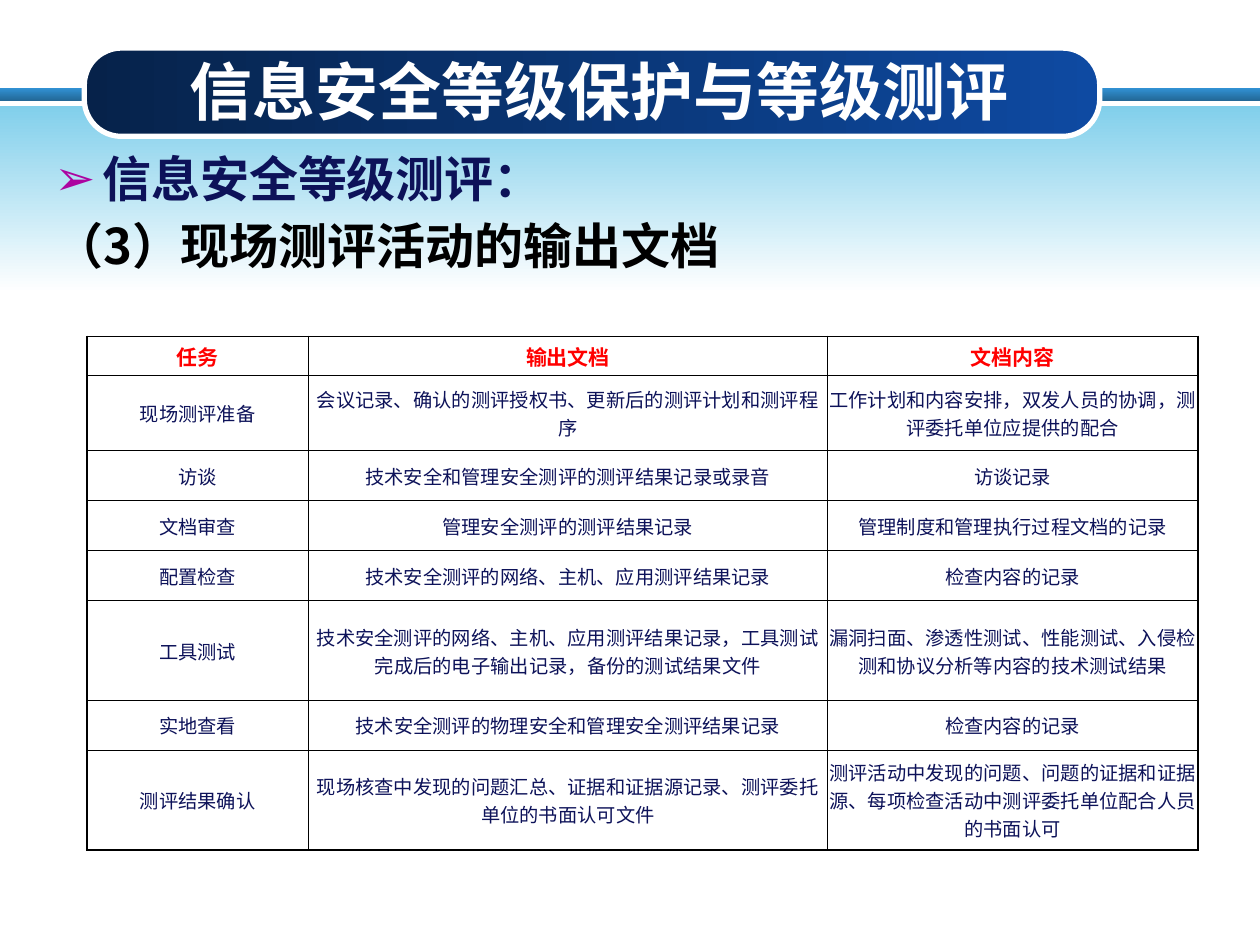
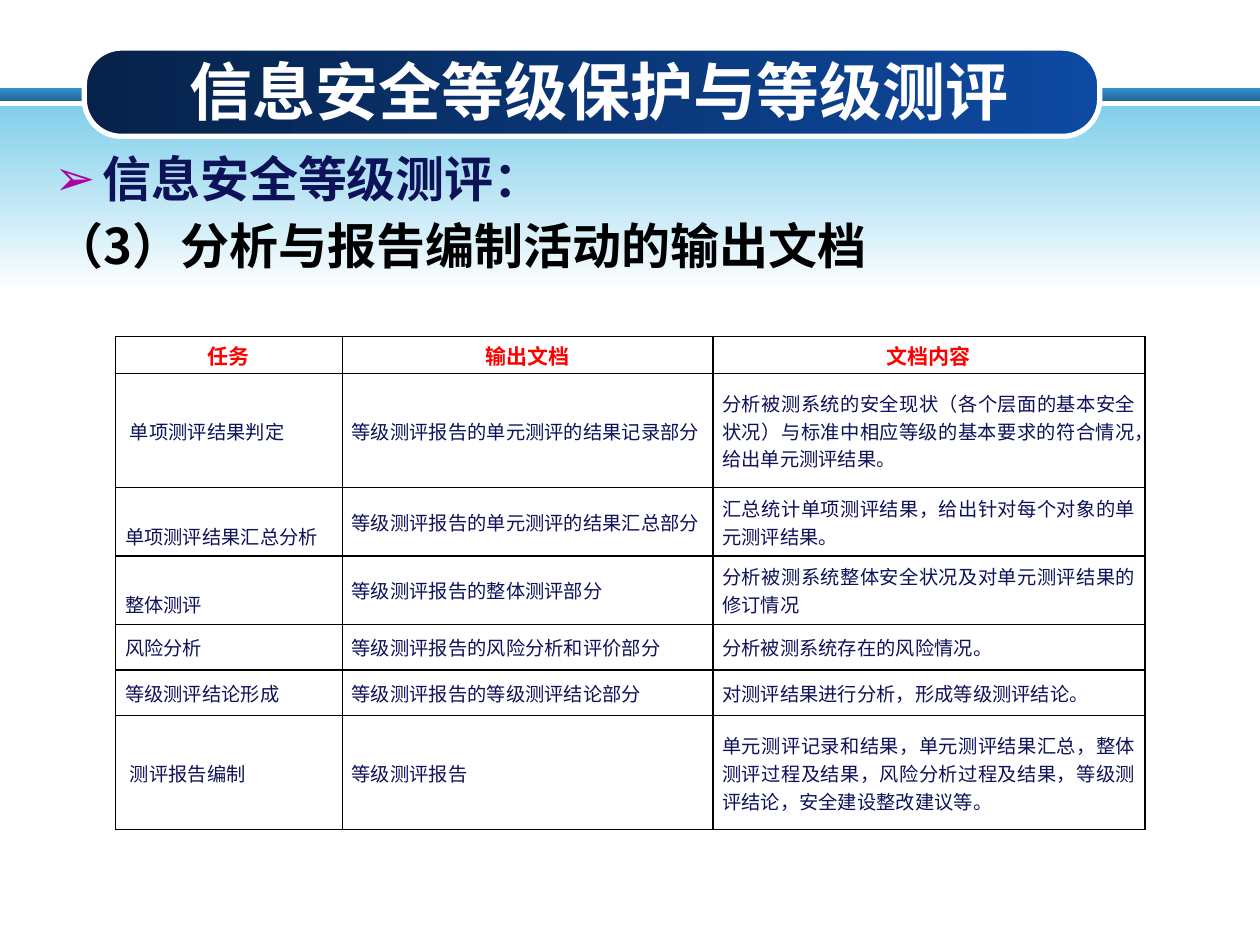
from lxml.etree import SubElement
from pptx import Presentation
from pptx.dml.color import RGBColor
from pptx.enum.shapes import MSO_SHAPE
from pptx.enum.text import MSO_ANCHOR, MSO_AUTO_SIZE, PP_ALIGN
from pptx.oxml import parse_xml
from pptx.oxml.ns import nsdecls, qn
from pptx.util import Cm, Pt

WHITE = RGBColor(0xFF, 0xFF, 0xFF)
BLACK = RGBColor(0x00, 0x00, 0x00)
RED = RGBColor(0xFF, 0x00, 0x00)
NAVY = RGBColor(0x0D, 0x12, 0x59)
PURPLE = RGBColor(0xAC, 0x04, 0xA0)
BAR_TOP = RGBColor(0x31, 0x91, 0xD3)
BAR_BOTTOM = RGBColor(0x23, 0x68, 0x97)
SKY = RGBColor(0x81, 0xCF, 0xEB)
PILL_LEFT = RGBColor(0x06, 0x22, 0x4A)
PILL_RIGHT = RGBColor(0x0E, 0x4A, 0xA2)

CJK_FONT = "Noto Sans CJK SC"
TITLE_FORMAT = {"name": "Arial", "size": Pt(36), "bold": True}
BODY_FORMAT = {"name": CJK_FONT, "size": Pt(28), "bold": True}
HEADER_FORMAT = {"name": "Times New Roman", "size": Pt(12), "bold": True}
CELL_FORMAT = {"name": "Times New Roman", "size": Pt(11), "bold": False}

# Background decoration: shape, left, top, width, height (cm), colours, angle
BANDS = [
    (MSO_SHAPE.RECTANGLE, 0, 1.78, 25.4, 0.25, (BAR_TOP, BAR_BOTTOM), 270),
    (MSO_SHAPE.RECTANGLE, 0, 2.13, 25.4, 3.78, (SKY, WHITE), 270),
    (MSO_SHAPE.ROUNDED_RECTANGLE, 1.7, 0.97, 20.47, 1.78, (PILL_LEFT, PILL_RIGHT), 0),
]

TITLE = "信息安全等级保护与等级测评"
HEADING = "信息安全等级测评："
TABLE_HEADER = ("任务", "输出文档", "文档内容")

SLIDES = [
    {
        "subheading": "（3）现场测评活动的输出文档",
        "left": 1.75,
        "columns": (4.47, 10.46, 7.47),
        "heights": (0.79, 1.51, 1.01, 1.01, 1.01, 2.01, 1.01, 2.01),
        "side_margin": 0,
        "alignment": PP_ALIGN.CENTER,
        "rows": [
            ("现场测评准备", "会议记录、确认的测评授权书、更新后的测评计划和测评程序",
             "工作计划和内容安排，双发人员的协调，测评委托单位应提供的配合"),
            ("访谈", "技术安全和管理安全测评的测评结果记录或录音", "访谈记录"),
            ("文档审查", "管理安全测评的测评结果记录", "管理制度和管理执行过程文档的记录"),
            ("配置检查", "技术安全测评的网络、主机、应用测评结果记录", "检查内容的记录"),
            ("工具测试",
             "技术安全测评的网络、主机、应用测评结果记录，工具测试完成后的电子输出记录，备份的测试结果文件",
             "漏洞扫面、渗透性测试、性能测试、入侵检测和协议分析等内容的技术测试结果"),
            ("实地查看", "技术安全测评的物理安全和管理安全测评结果记录", "检查内容的记录"),
            ("测评结果确认",
             "现场核查中发现的问题汇总、证据和证据源记录、测评委托单位的书面认可文件",
             "测评活动中发现的问题、问题的证据和证据源、每项检查活动中测评委托单位配合人员的书面认可"),
        ],
        "lowered": (),
        "indented": (),
    },
    {
        "subheading": "（3）分析与报告编制活动的输出文档",
        "left": 2.33,
        "columns": (4.57, 7.47, 8.71),
        "heights": (0.75, 2.3, 1.38, 1.38, 0.92, 0.92, 2.3),
        "side_margin": 0.19,
        "alignment": PP_ALIGN.JUSTIFY,
        "rows": [
            ("单项测评结果判定", "等级测评报告的单元测评的结果记录部分",
             "分析被测系统的安全现状（各个层面的基本安全状况）与标准中相应等级的基本要求的符合情况，给出单元测评结果。"),
            ("单项测评结果汇总分析", "等级测评报告的单元测评的结果汇总部分",
             "汇总统计单项测评结果，给出针对每个对象的单元测评结果。"),
            ("整体测评", "等级测评报告的整体测评部分",
             "分析被测系统整体安全状况及对单元测评结果的修订情况"),
            ("风险分析", "等级测评报告的风险分析和评价部分", "分析被测系统存在的风险情况。"),
            ("等级测评结论形成", "等级测评报告的等级测评结论部分",
             "对测评结果进行分析，形成等级测评结论。"),
            ("测评报告编制", "等级测评报告",
             "单元测评记录和结果，单元测评结果汇总，整体测评过程及结果，风险分析过程及结果，等级测评结论，安全建设整改建议等。"),
        ],
        "lowered": ("单项测评结果汇总分析", "整体测评"),
        "indented": ("单项测评结果判定", "测评报告编制"),
    },
]


def write(paragraph, text, font_format, color, alignment):
    paragraph.alignment = alignment
    run = paragraph.add_run()
    run.text = text
    for name, value in font_format.items():
        setattr(run.font, name, value)
    run.font.color.rgb = color
    SubElement(run.font._element, qn("a:ea"), typeface=CJK_FONT)


def place(shape, left, top, width, height, anchor):
    """Move a placeholder (cm) and fix its text frame."""
    shape.left, shape.top, shape.width, shape.height = map(Cm, (left, top, width, height))
    frame = shape.text_frame
    frame.word_wrap = True
    frame.auto_size = MSO_AUTO_SIZE.NONE
    frame.vertical_anchor = anchor
    return frame


presentation = Presentation()
presentation.slide_width, presentation.slide_height = Cm(25.4), Cm(19.05)
layout = presentation.slide_layouts[1]
slides = [presentation.slides.add_slide(layout) for _ in SLIDES]

# The decoration is drawn once and moved to the master, behind everything.
master_tree = presentation.slide_master.shapes.element
for index, (kind, *box, colors, angle) in enumerate(BANDS):
    band = slides[0].shapes.add_shape(kind, *map(Cm, box))
    band.shadow.inherit = False
    band.fill.gradient()
    band.fill.gradient_angle = angle
    for stop, color in zip(band.fill.gradient_stops, colors):
        stop.color.rgb = color
    if kind == MSO_SHAPE.ROUNDED_RECTANGLE:
        band.adjustments[0] = 0.42
        band.line.color.rgb = WHITE
        band.line.width = Pt(3)
    else:
        band.line.fill.background()
    band.element.nvSpPr.cNvPr.set("id", str(100 + index))
    master_tree.insert(2 + index, band.element)

for slide, content in zip(slides, SLIDES):
    title_frame = place(slide.shapes.title, 2.34, 1.04, 19.48, 1.57, MSO_ANCHOR.MIDDLE)
    write(title_frame.paragraphs[0], TITLE, TITLE_FORMAT, WHITE, PP_ALIGN.CENTER)

    body_frame = place(slide.placeholders[1], 0.84, 2.87, 22.86, 3.4, MSO_ANCHOR.TOP)
    heading = body_frame.paragraphs[0]
    heading_properties = heading._p.get_or_add_pPr()
    heading_properties.set("marL", str(Cm(0.97)))
    heading_properties.set("indent", str(Cm(-0.97)))
    bullet_color = SubElement(heading_properties, qn("a:buClr"))
    SubElement(bullet_color, qn("a:srgbClr"), val=str(PURPLE))
    SubElement(heading_properties, qn("a:buChar"), char="➢")
    heading.space_before = Pt(0)
    write(heading, HEADING, BODY_FORMAT, NAVY, PP_ALIGN.LEFT)

    subheading = body_frame.add_paragraph()
    subheading.level = 1
    subheading_properties = subheading._p.get_or_add_pPr()
    subheading_properties.set("marL", "0")
    subheading_properties.set("indent", "0")
    SubElement(subheading_properties, qn("a:buNone"))
    subheading.space_before = Pt(4.6)
    write(subheading, content["subheading"], BODY_FORMAT, BLACK, PP_ALIGN.LEFT)

    rows = [TABLE_HEADER, *content["rows"]]
    columns, heights = content["columns"], content["heights"]
    table = slide.shapes.add_table(
        len(rows), len(columns), Cm(content["left"]), Cm(6.78),
        Cm(sum(columns)), Cm(sum(heights))).table
    table.first_row = table.horz_banding = False
    for column, width in zip(table.columns, columns):
        column.width = Cm(width)
    for row_index, texts in enumerate(rows):
        table.rows[row_index].height = Cm(heights[row_index])
        for cell, text in zip(table.rows[row_index].cells, texts):
            cell.vertical_anchor = MSO_ANCHOR.MIDDLE
            cell.margin_left = cell.margin_right = Cm(content["side_margin"])
            cell.margin_top = cell.margin_bottom = 0
            if text in content["lowered"]:
                cell.margin_top = Cm(0.56)
            if text in content["indented"]:
                cell.margin_left = Cm(content["side_margin"] + 0.1)
            cell_properties = cell._tc.get_or_add_tcPr()
            for side in "LRTB":
                cell_properties.append(parse_xml(
                    f'<a:ln{side} {nsdecls("a")} w="{Pt(1)}"><a:solidFill>'
                    f'<a:srgbClr val="{BLACK}"/></a:solidFill></a:ln{side}>'))
            cell.fill.background()
            paragraph = cell.text_frame.paragraphs[0]
            if row_index == 0:
                write(paragraph, text, HEADER_FORMAT, RED, PP_ALIGN.CENTER)
            else:
                write(paragraph, text, CELL_FORMAT, NAVY, content["alignment"])

presentation.save("out.pptx")
